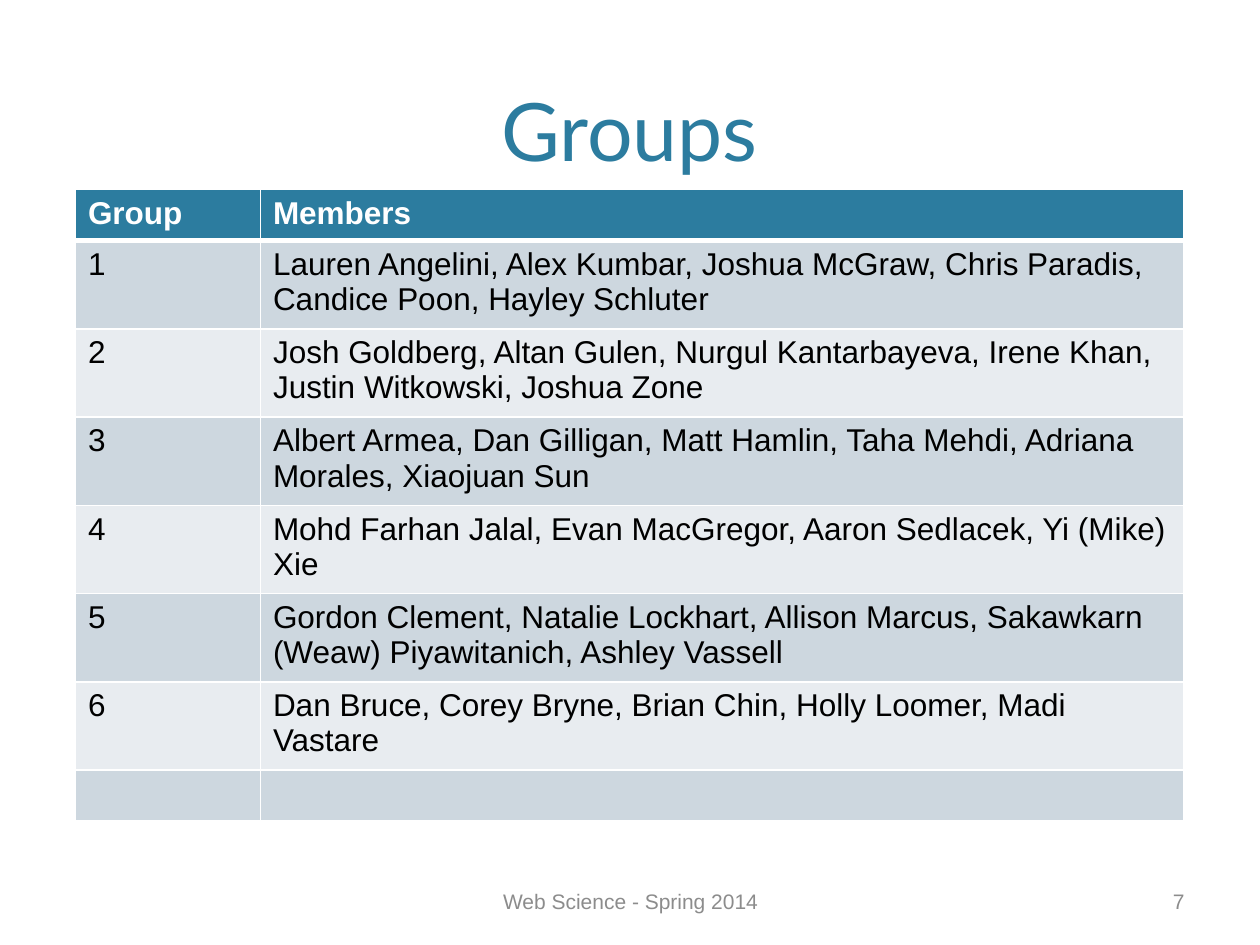
from lxml import etree
from pptx import Presentation
from pptx import util as u
from pptx.dml import color
from pptx.enum import text
from pptx.oxml import ns

BLUE, WHITE, BLACK, GREY = "2C7C9F", "FFFFFF", "000000", "8C8C8C"
BANDS = ["CDD7DF", "E8ECF0"]

HEADER = ("Group", "Members")
MEMBERS = [
    "Lauren Angelini, Alex Kumbar, Joshua McGraw, Chris Paradis, Candice Poon, Hayley Schluter",
    "Josh Goldberg, Altan Gulen, Nurgul Kantarbayeva, Irene Khan, Justin Witkowski, Joshua Zone",
    "Albert Armea, Dan Gilligan, Matt Hamlin, Taha Mehdi, Adriana Morales, Xiaojuan Sun",
    "Mohd Farhan Jalal, Evan MacGregor, Aaron Sedlacek, Yi (Mike) Xie",
    "Gordon Clement, Natalie Lockhart, Allison Marcus, Sakawkarn (Weaw) Piyawitanich, Ashley Vassell",
    "Dan Bruce, Corey Bryne, Brian Chin, Holly Loomer, Madi Vastare",
]
ROWS = [HEADER, *((str(n), names) for n, names in enumerate(MEMBERS, 1)), ("", "")]

# Boxes are left, top, width, height in cm
TITLE_FORMAT = {"name": "Lato", "size": u.Pt(46)}
FOOTER_FORMAT = {"name": "Arial", "size": u.Pt(12)}
TABLE_FORMAT = {"name": "Arial", "size": u.Pt(18)}
CENTER, RIGHT = text.PP_ALIGN.CENTER, text.PP_ALIGN.RIGHT
BOTTOM, MIDDLE = text.MSO_ANCHOR.BOTTOM, text.MSO_ANCHOR.MIDDLE
TEXTS = [
    ("Groups", (1.52, 0, 22.35, 3.71), BLUE, TITLE_FORMAT, CENTER, BOTTOM),
    ("Web Science - Spring 2014", (8.69, 17.65, 8.05, 1.02), GREY, FOOTER_FORMAT, CENTER, MIDDLE),
    ("7", (18.21, 17.65, 5.92, 1.02), GREY, FOOTER_FORMAT, RIGHT, MIDDLE),
]
TABLE_LEFT, TABLE_TOP = 1.52, 3.82
COLUMN_WIDTHS = [3.73, 18.62]
ROW_HEIGHT = 1.03


def rgb(value):
    return color.RGBColor.from_string(value)


def write(paragraph, content, ink, values):
    run = paragraph.add_run()
    run.text = content
    run.font.color.rgb = rgb(ink)
    for name, value in values.items():
        setattr(run.font, name, value)


def add_text(slide, content, box, ink, values, alignment, anchor):
    frame = slide.shapes.add_textbox(*map(u.Cm, box)).text_frame
    frame.word_wrap = True
    frame.vertical_anchor = anchor
    frame.paragraphs[0].alignment = alignment
    write(frame.paragraphs[0], content, ink, values)


def set_borders(cell, widths):
    """Draw white cell borders; widths maps L, R, T, B, in that order, to points."""
    properties = cell._tc.get_or_add_tcPr()
    for index, (side, width) in enumerate(widths.items()):
        line = etree.Element(ns.qn(f"a:ln{side}"), w=str(u.Pt(width)))
        fill = etree.SubElement(line, ns.qn("a:solidFill"))
        etree.SubElement(fill, ns.qn("a:srgbClr"), val=WHITE)
        properties.insert(index, line)


def add_group_table(slide):
    box = (TABLE_LEFT, TABLE_TOP, sum(COLUMN_WIDTHS), ROW_HEIGHT * len(ROWS))
    table = slide.shapes.add_table(len(ROWS), len(HEADER), *map(u.Cm, box)).table
    for column, width in zip(table.columns, COLUMN_WIDTHS):
        column.width = u.Cm(width)
    for i, row in enumerate(ROWS):
        is_header = i == 0
        table.rows[i].height = u.Cm(ROW_HEIGHT)
        for j, content in enumerate(row):
            cell = table.cell(i, j)
            cell.fill.solid()
            cell.fill.fore_color.rgb = rgb(BLUE if is_header else BANDS[(i - 1) % 2])
            set_borders(cell, {"L": 1, "R": 1, "T": 3 if i == 1 else 1, "B": 3 if is_header else 1})
            if content:
                write(cell.text_frame.paragraphs[0], content, WHITE if is_header else BLACK,
                      {**TABLE_FORMAT, "bold": is_header})


def main():
    presentation = Presentation()
    presentation.slide_width, presentation.slide_height = u.Cm(25.4), u.Cm(19.05)
    slide = presentation.slides.add_slide(presentation.slide_layouts[6])
    for item in TEXTS:
        add_text(slide, *item)
    add_group_table(slide)
    presentation.save("out.pptx")


if __name__ == "__main__":
    main()
